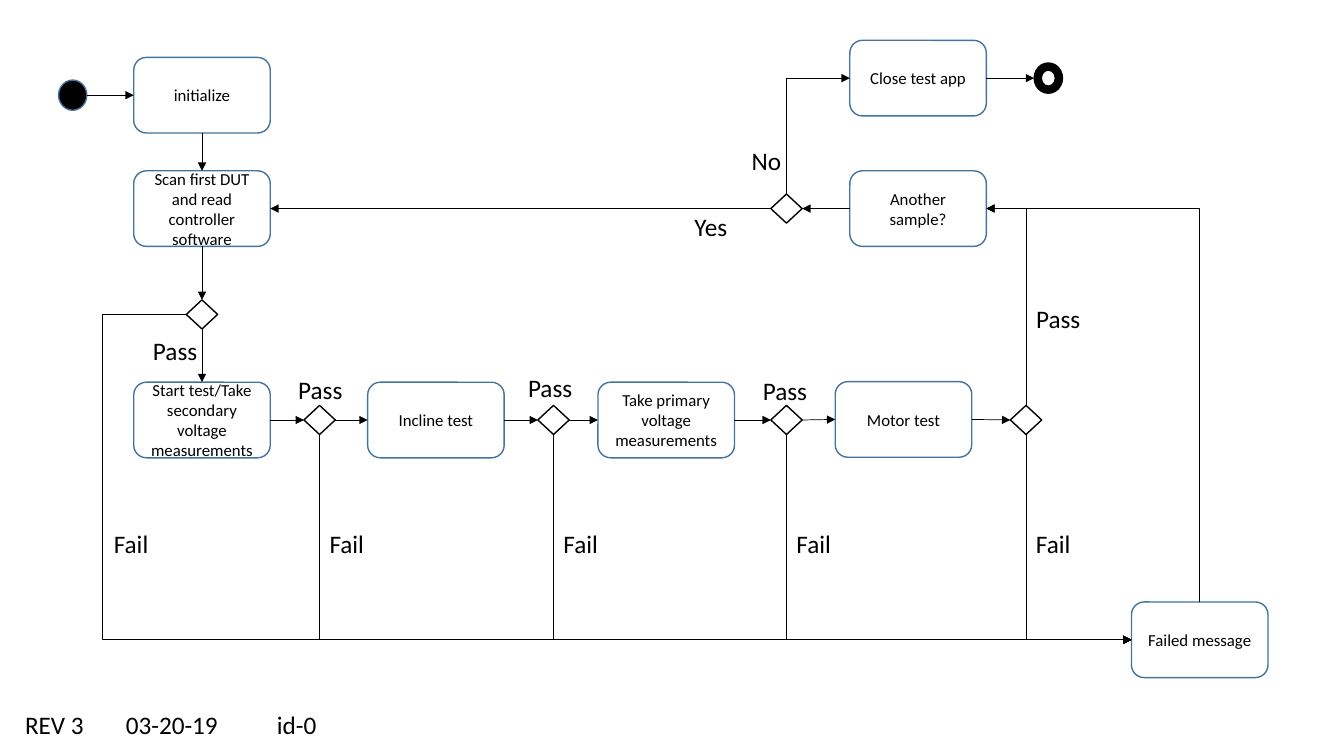
"""Build the device test flowchart slide."""
from lxml import etree
from pptx import Presentation
from pptx import util as u
from pptx.dml import color
from pptx.enum import shapes as s, text as t
from pptx.oxml import ns

BLACK, WHITE, BLUE = "000000", "FFFFFF", "43739E"
FONT = "Calibri"
BOX, DIAMOND, DOT = (97.5, 54), (22.4, 20.8), (20.2, 21.6)
LEFT_X, RIGHT_X, TEST_Y, SAMPLE_Y = 144.3, 655.8, 300, 149

steps = {
    "initialize": ("initialize", LEFT_X, 68),
    "scan": ("Scan first DUT and read controller software", LEFT_X, SAMPLE_Y),
    "secondary": ("Start test/Take secondary voltage measurements", LEFT_X, TEST_Y),
    "incline": ("Incline test", 311.4, TEST_Y),
    "primary": ("Take primary voltage measurements", 475.9, TEST_Y),
    "motor": ("Motor test", 645.4, TEST_Y - 0.4),
    "sample": ("Another sample?", RIGHT_X, SAMPLE_Y),
    "close": ("Close test app", RIGHT_X, 55.8),
    "failed": ("Failed message", 857, 457),
}
decisions = {
    "scan ok": (LEFT_X, 224.6),
    "secondary ok": (228.3, TEST_Y),
    "incline ok": (395.4, TEST_Y),
    "primary ok": (561.8, TEST_Y),
    "motor ok": (732.9, TEST_Y),
    "more": (561.8, SAMPLE_Y),
}
dots = {
    "start": (s.MSO_SHAPE.OVAL, BLUE, 51.9, 68),
    "end": (s.MSO_SHAPE.DONUT, BLACK, 748.8, 55.8),
}

TOP, LEFT, BOTTOM, RIGHT = range(4)
test_row = ["secondary", "secondary ok", "incline", "incline ok",
            "primary", "primary ok", "motor", "motor ok"]
straight_links = [
    ("start", RIGHT, "initialize", LEFT),
    ("initialize", BOTTOM, "scan", TOP),
    ("scan", BOTTOM, "scan ok", TOP),
    ("scan ok", BOTTOM, "secondary", TOP),
    ("sample", LEFT, "more", RIGHT),
    ("more", LEFT, "scan", RIGHT),
    ("close", RIGHT, "end", LEFT),
] + [(a, RIGHT, b, LEFT) for a, b in zip(test_row, test_row[1:])]
corner_links = [
    ("motor ok", TOP, "sample", RIGHT),
    ("failed", TOP, "sample", RIGHT),
    ("more", TOP, "close", LEFT),
] + [(test_ok, BOTTOM, "failed", LEFT) for test_ok in test_row[1::2]]
FAIL_LOOP_BEND = -8950

labels = [
    ("Pass", 205.9, 263.5, 46), ("Pass", 370.1, 262.1, 46),
    ("Pass", 537.8, 264.2, 46), ("Pass", 733, 213.1, 46),
    ("Pass", 102.2, 235.8, 46), ("Yes", 488.9, 147.6, 38),
    ("No", 529.9, 100.4, 36), ("REV 3\t03-20-19\t\tid-0", 10.8, 503.3, 261.4),
] + [("Fail", x, 373.7, 39.6)
     for x in [74.2] + [decisions[test_ok][0] for test_ok in test_row[1::2]]]


def rgb(hex_code):
    """Turn a hex string into a colour."""
    return color.RGBColor.from_string(hex_code)


def write(part, words, size):
    """Put formatted words into a shape."""
    paragraph = part.text_frame.paragraphs[0]
    paragraph.text = words
    for run in paragraph.runs:
        run.font.name, run.font.size = FONT, u.Pt(size)
        run.font.color.rgb = rgb(BLACK)
    return paragraph


def add_node(preset, x, y, size, fill, outline):
    """Add a shape centred on x, y."""
    width, height = size
    node = slide.shapes.add_shape(preset, u.Pt(x - width / 2), u.Pt(y - height / 2),
                                  u.Pt(width), u.Pt(height))
    node.shadow.inherit = False
    node.fill.solid()
    node.fill.fore_color.rgb = rgb(fill)
    node.line.color.rgb = rgb(outline)
    node.line.width = u.Pt(1)
    return node


def add_link(source, source_side, target, target_side, kind=s.MSO_CONNECTOR.STRAIGHT):
    """Glue an arrow between the sides of two nodes."""
    link = slide.shapes.add_connector(kind, 0, 0, 0, 0)
    link.begin_connect(nodes[source], source_side)
    link.end_connect(nodes[target], target_side)
    for name, side, tag in ((source, source_side, "stCxn"), (target, target_side, "endCxn")):
        if name in dots:
            link._element.xpath(f".//a:{tag}")[0].set("idx", str(side * 2))
    link.line.color.rgb = rgb(BLACK)
    link.line.width = u.Pt(0.5)
    etree.SubElement(link.line._get_or_add_ln(), ns.qn("a:tailEnd"), type="triangle")
    etree.SubElement(link._element.spPr, ns.qn("a:effectLst"))
    return link


def turn_corner(link):
    """Route an elbow vertically first, then horizontally."""
    dx, dy = link.end_x - link.begin_x, link.end_y - link.begin_y
    middle_x, middle_y = link.begin_x + dx // 2, link.begin_y + dy // 2
    link.left, link.top = middle_x - abs(dy) // 2, middle_y - abs(dx) // 2
    link.width, link.height = abs(dy), abs(dx)
    frame = link._element.spPr.find(ns.qn("a:xfrm"))
    frame.set("rot", str(270 * 60000))
    frame.set("flipH", str(int(dy > 0)))
    frame.set("flipV", str(int(dx < 0)))
    link._element.spPr.find(ns.qn("a:prstGeom")).set("prst", "bentConnector2")


deck = Presentation()
deck.slide_width, deck.slide_height = u.Pt(960), u.Pt(540)
slide = deck.slides.add_slide(deck.slide_layouts[6])

nodes = {}
for name, (words, x, y) in steps.items():
    nodes[name] = add_node(s.MSO_SHAPE.ROUNDED_RECTANGLE, x, y, BOX, WHITE, BLUE)
    nodes[name].text_frame.vertical_anchor = t.MSO_ANCHOR.MIDDLE
    write(nodes[name], words, 12).alignment = t.PP_ALIGN.CENTER
for name, (x, y) in decisions.items():
    nodes[name] = add_node(s.MSO_SHAPE.DIAMOND, x, y, DIAMOND, WHITE, BLACK)
for name, (preset, outline, x, y) in dots.items():
    nodes[name] = add_node(preset, x, y, DOT, BLACK, outline)

for ends in straight_links:
    add_link(*ends)
for ends in corner_links:
    turn_corner(add_link(*ends, kind=s.MSO_CONNECTOR.ELBOW))
fail_loop = add_link("scan ok", LEFT, "failed", LEFT, s.MSO_CONNECTOR.ELBOW)
bend = fail_loop._element.spPr.find(ns.qn("a:prstGeom")).get_or_add_avLst()
etree.SubElement(bend, ns.qn("a:gd"), name="adj1", fmla=f"val {FAIL_LOOP_BEND}")

for words, x, y, width in labels:
    label = slide.shapes.add_textbox(u.Pt(x), u.Pt(y), u.Pt(width), u.Pt(29))
    label.text_frame.word_wrap = False
    label.text_frame.auto_size = t.MSO_AUTO_SIZE.SHAPE_TO_FIT_TEXT
    write(label, words, 18)

deck.save("out.pptx")
